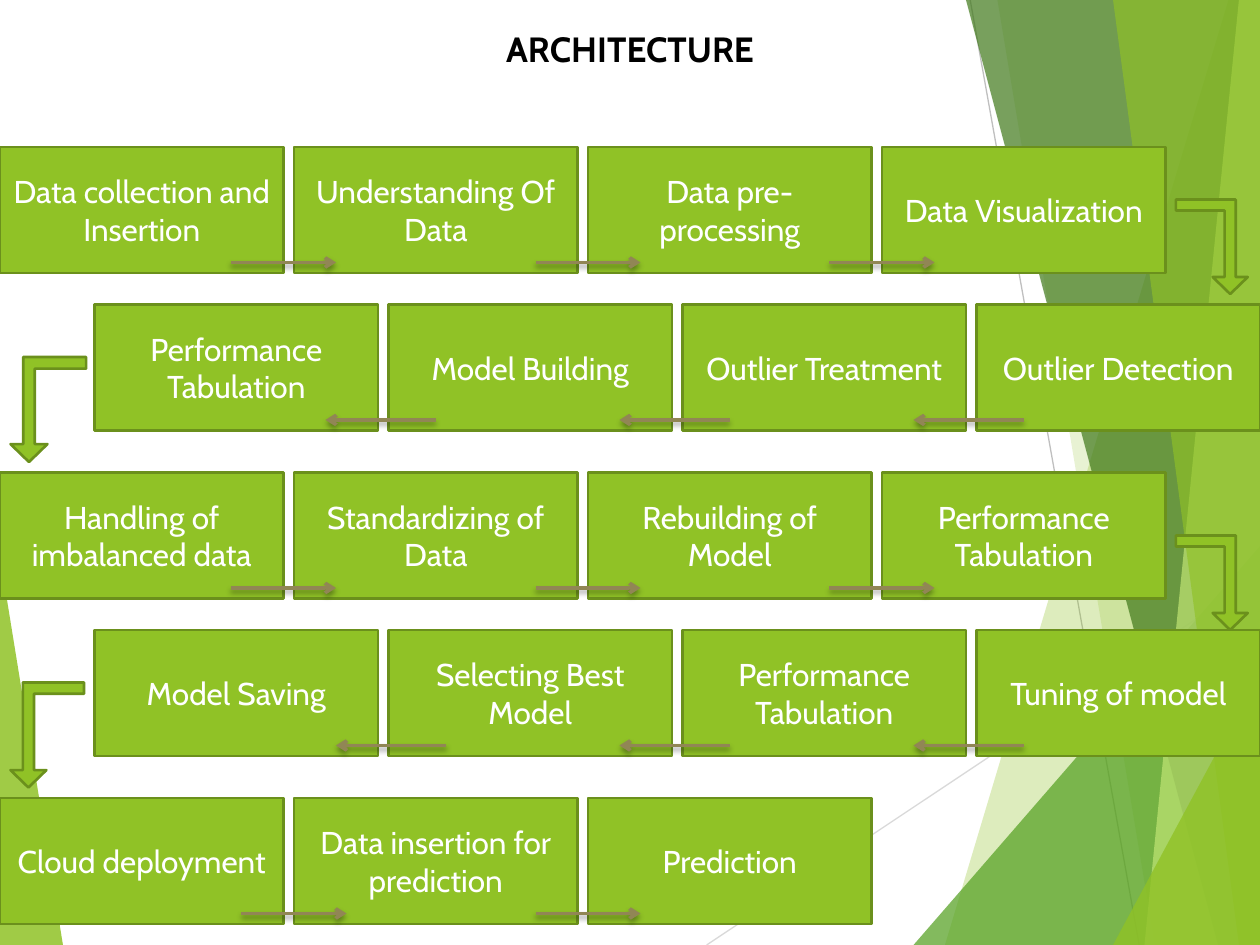
from lxml import etree
from pptx import Presentation, util as u
from pptx.dml.color import RGBColor
from pptx.enum import shapes as kinds, text
from pptx.oxml import ns

GREEN = RGBColor(0x90, 0xC2, 0x26)
MID_GREEN = RGBColor(0x54, 0xA0, 0x21)
DARK_GREEN = RGBColor(0x3F, 0x78, 0x19)
PALE_GREEN = RGBColor(0xC0, 0xE4, 0x74)
OUTLINE = RGBColor(0x6B, 0x90, 0x1C)
ARROW = RGBColor(0x91, 0x86, 0x55)
LIGHT_GRAY = RGBColor(0xD9, 0xD9, 0xD9)
GRAY = RGBColor(0xBF, 0xBF, 0xBF)
WHITE = RGBColor(0xFF, 0xFF, 0xFF)
BLACK = RGBColor(0, 0, 0)
FONT = "Cabin"

presentation = Presentation()
presentation.slide_width = u.Inches(10)
presentation.slide_height = u.Inches(7.5)
CELL = presentation.slide_width // 120
slide = presentation.slides.add_slide(presentation.slide_layouts[5])


def add_line(start, end, color, width):
    ends = [round(value * CELL) for value in (*start, *end)]
    line = slide.shapes.add_connector(kinds.MSO_CONNECTOR.STRAIGHT, *ends)
    line.line.color.rgb = color
    line.line.width = u.Pt(width)
    effects = etree.SubElement(line._element.spPr, ns.qn("a:effectLst"))
    return line, effects


def add_green_shape(kind, left, top, width, height):
    frame = [round(value * CELL) for value in (left, top, width, height)]
    shape = slide.shapes.add_shape(kind, *frame)
    shape.shadow.inherit = False
    shape.fill.solid()
    shape.fill.fore_color.rgb = GREEN
    shape.line.color.rgb = OUTLINE
    shape.line.width = u.Pt(1.5)
    return shape


title = slide.shapes.title
title.left, title.top = 0, 2 * CELL
title.width, title.height = presentation.slide_width, round(5.25 * CELL)
title.text_frame.vertical_anchor = text.MSO_ANCHOR.TOP
title.text_frame.auto_size = text.MSO_AUTO_SIZE.SHAPE_TO_FIT_TEXT
paragraph = title.text_frame.paragraphs[0]
paragraph.alignment = text.PP_ALIGN.CENTER
run = paragraph.add_run()
run.text = "ARCHITECTURE"
run.font.name, run.font.size, run.font.bold = FONT, u.Pt(20), True
run.font.color.rgb = BLACK

add_line((67.3, 90), (120, 54.9), LIGHT_GRAY, 0.75)
add_line((92.4, 0), (108.5, 90), GRAY, 0.75)

facets = [
    (GREEN, 85, [(0, 52.7), (5.9, 90), (0, 90)]),
    (GREEN, 30, [(117, 0), (90.5, 90), (120, 90), (120, 0)]),
    (GREEN, 20, [(94.6, 0), (110.3, 90), (120, 90), (120, 0)]),
    (MID_GREEN, 72, [(87.1, 90), (120, 51.5), (120, 90)]),
    (DARK_GREEN, 70, [(92, 0), (116.4, 90), (120, 90), (120, 0)]),
    (PALE_GREEN, 70, [(117.7, 0), (108.8, 90), (120, 90), (120, 0)]),
    (GREEN, 65, [(106, 0), (118.3, 90), (120, 90), (119.8, 0)]),
    (GREEN, 80, [(105.7, 90), (120, 64.2), (120, 90)]),
]
for color, opacity, points in facets:
    builder = slide.shapes.build_freeform(*points[0], scale=CELL)
    builder.add_line_segments(points[1:], close=True)
    facet = builder.convert_to_shape()
    facet.shadow.inherit = False
    facet.line.fill.background()
    facet.fill.solid()
    facet.fill.fore_color.rgb = color
    color_element = facet._element.spPr.find(".//" + ns.qn("a:srgbClr"))
    etree.SubElement(color_element, ns.qn("a:alpha"), val=str(opacity * 1000))

rows = [
    (14, 0, ["Data collection and Insertion", "Understanding Of Data",
             "Data pre-processing", "Data Visualization"]),
    (29, 9, ["Performance Tabulation", "Model Building",
             "Outlier Treatment", "Outlier Detection"]),
    (45, 0, ["Handling of imbalanced data", "Standardizing of Data",
             "Rebuilding of Model", "Performance Tabulation"]),
    (60, 9, ["Model Saving", "Selecting Best Model",
             "Performance Tabulation", "Tuning of model"]),
    (76, 0, ["Cloud deployment", "Data insertion for prediction", "Prediction"]),
]
for top, indent, steps in rows:
    for column, step in enumerate(steps):
        box = add_green_shape(kinds.MSO_SHAPE.RECTANGLE,
                              indent + 28 * column, top, 27, 12)
        box.text_frame.word_wrap = True
        box.text_frame.vertical_anchor = text.MSO_ANCHOR.MIDDLE
        paragraph = box.text_frame.paragraphs[0]
        paragraph.alignment = text.PP_ALIGN.CENTER
        run = paragraph.add_run()
        run.text = step
        run.font.name, run.font.size = FONT, u.Pt(18)
        run.font.color.rgb = WHITE

turns = [(112, 19, 6.84, 9, True), (1, 34, 7.2, 10, False),
         (112, 51, 6.84, 9, True), (1, 65, 7, 10, False)]
for left, top, width, height, mirrored in turns:
    turn = add_green_shape(kinds.MSO_SHAPE.BENT_UP_ARROW, left, top, width, height)
    turn.rotation = 180
    for index, value in enumerate((0.153, 0.244, 0.237)):
        turn.adjustments[index] = value
    if mirrored:
        turn._element.spPr.xfrm.set("flipH", "1")

arrow_rows = [
    (25, 10, [22, 51, 79]),
    (40, -10.5, [41.5, 69.5, 97.5]),
    (56, 10, [22, 51, 79]),
    (71, -10.5, [42.5, 69.5, 97.5]),
    (87, 10, [23, 51]),
]
for level, length, starts in arrow_rows:
    for start in starts:
        arrow, effects = add_line((start, level), (start + length, level), ARROW, 2)
        etree.SubElement(arrow.line._get_or_add_ln(), ns.qn("a:tailEnd"), type="arrow")
        shadow = etree.SubElement(effects, ns.qn("a:outerShdw"), blurRad=str(u.Pt(3)),
                                  dist=str(u.Pt(2)), dir="5400000", rotWithShape="0")
        shade = etree.SubElement(shadow, ns.qn("a:srgbClr"), val=str(BLACK))
        etree.SubElement(shade, ns.qn("a:alpha"), val="35000")

presentation.save("out.pptx")
